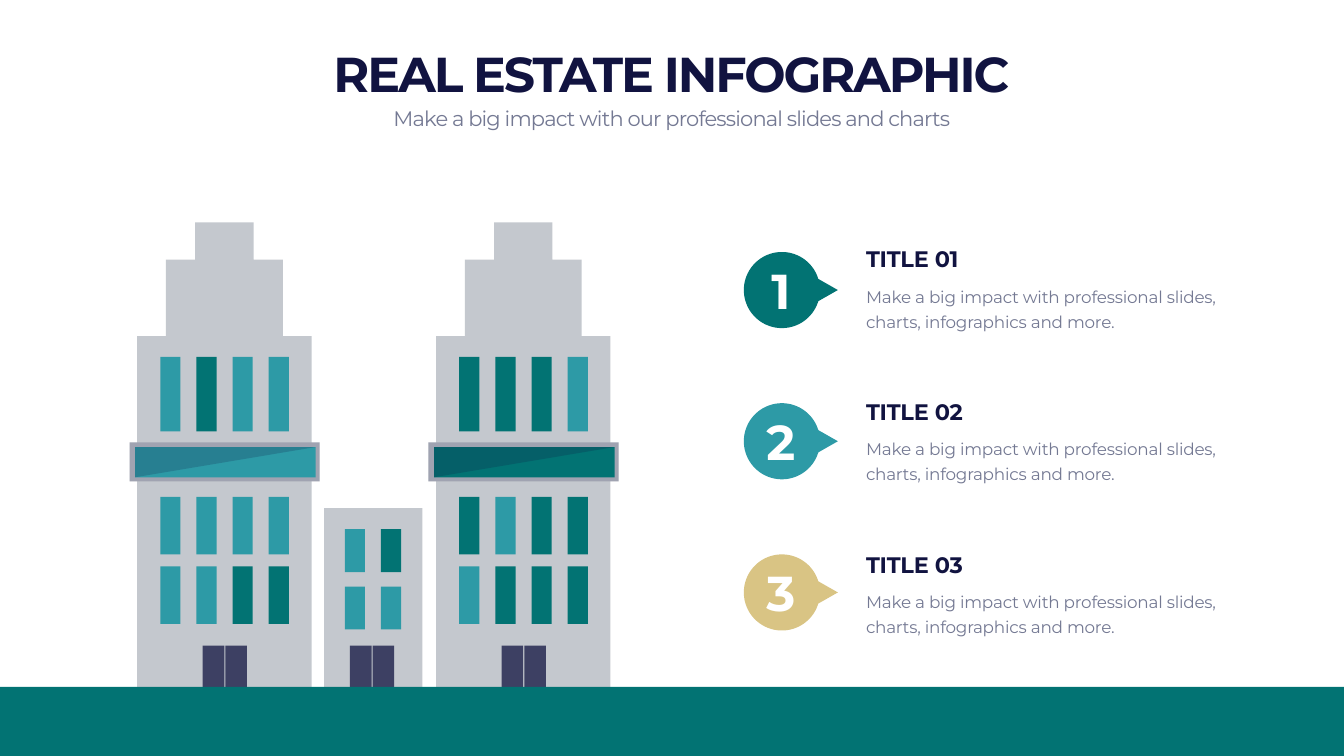
"""Build a real estate infographic slide with two towers, an annex and three numbered points."""
from dataclasses import dataclass
from math import cos, radians, sin

from lxml.etree import SubElement
from pptx import Presentation
from pptx.dml.color import RGBColor
from pptx.enum.shapes import MSO_SHAPE
from pptx.enum.text import MSO_ANCHOR, MSO_AUTO_SIZE, PP_ALIGN
from pptx.oxml.ns import qn
from pptx.slide import Slide
from pptx.util import Inches, Pt

NAVY = RGBColor(0x11, 0x13, 0x40)
SLATE = RGBColor(0x74, 0x79, 0x93)
STONE = RGBColor(0xC4, 0xC8, 0xCE)
GREEN = RGBColor(0x02, 0x73, 0x73)
TEAL = RGBColor(0x2D, 0x9A, 0xA6)
SAND = RGBColor(0xD9, 0xC4, 0x84)
WHITE = RGBColor(0xFF, 0xFF, 0xFF)
WINDOW_COLORS = {"T": TEAL, "G": GREEN}
GROUND = 13.63


@dataclass
class Painter:
    page: Slide
    font: str = "Montserrat"

    def paint(self, shape, color, alpha=100):
        shape.shadow.inherit = False
        shape.line.fill.background()
        shape.fill.solid()
        shape.fill.fore_color.rgb = color
        if alpha < 100:
            for node in list(shape._element.spPr.iter(qn("a:srgbClr"))):
                SubElement(node, qn("a:alpha")).set("val", str(alpha * 1000))

    def block(self, left, top, width, height, color, alpha=100):
        area = map(Inches, (left, top, width, height))
        self.paint(self.page.shapes.add_shape(MSO_SHAPE.RECTANGLE, *area), color, alpha)

    def outline(self, points, color, alpha=100):
        corners = [(Inches(x), Inches(y)) for x, y in points]
        builder = self.page.shapes.build_freeform(*corners[0])
        builder.add_line_segments(corners[1:], close=True)
        self.paint(builder.convert_to_shape(), color, alpha)

    def text(self, words, area, size, color, box=None, bold=False, spacing=-0.3,
             align=PP_ALIGN.LEFT, anchor=MSO_ANCHOR.TOP, line_spacing=None):
        left, top, width, height = map(Inches, area)
        if box is None:
            box = self.page.shapes.add_textbox(left, top, width, height)
        box.left, box.top, box.width, box.height = left, top, width, height
        frame = box.text_frame
        frame.word_wrap = True
        frame.auto_size = MSO_AUTO_SIZE.NONE
        frame.vertical_anchor = anchor
        para = frame.paragraphs[0]
        para.alignment = align
        para.space_before = Pt(0)
        para.line_spacing = line_spacing or 1.0
        span = para.add_run()
        span.text = words
        span.font.name = self.font
        span.font.size = Pt(size)
        span.font.bold = bold
        span.font.color.rgb = color
        span._r.get_or_add_rPr().set("spc", str(round(spacing * 100)))

    def windows(self, left, top, height, pattern):
        for column, key in enumerate(pattern):
            self.block(left + column * 0.717, top, 0.4, height, WINDOW_COLORS[key])

    def door(self, left):
        for leaf in range(2):
            self.block(left + leaf * 0.45, 12.81, 0.43, 0.82, NAVY, alpha=75)

    def tower(self, left, glass, rows):
        steps = [(0, GROUND), (0, 6.67), (0.57, 6.67), (0.57, 5.15), (1.15, 5.15), (1.15, 4.41)]
        mirrored = [(3.46 - x, y) for x, y in reversed(steps)]
        self.outline([(left + x, y) for x, y in steps + mirrored], STONE)
        self.block(left - 0.15, 8.78, 3.77, 0.77, STONE)
        self.block(left - 0.15, 8.78, 3.77, 0.77, NAVY, alpha=20)
        for (top, height), pattern in zip([(7.08, 1.48), (9.86, 1.14), (11.24, 1.14)], rows):
            self.windows(left + 0.46, top, height, pattern)
        self.door(left + 1.3)
        start, end = left - 0.04, left + 3.54
        self.block(start, 8.87, 3.58, 0.6, glass)
        self.outline([(start, 9.47), (start, 8.87), (end, 8.87)], NAVY, alpha=20)

    def pointer(self, top, color):
        radius = 0.755
        arc = [(15.51 + radius * cos(radians(a)), top + radius + radius * sin(radians(a)))
               for a in range(17, 344, 2)]
        self.outline([(16.62, top + radius)] + arc, color)


def main():
    deck = Presentation()
    deck.slide_width, deck.slide_height = Inches(26.66), Inches(15)
    page = deck.slides.add_slide(deck.slide_layouts[0])
    painter = Painter(page)
    heading, subheading = page.placeholders
    painter.text("REAL ESTATE INFOGRAPHIC", (1.66, 0.8, 23.33, 1.28), 70, NAVY, box=heading,
                 bold=True, spacing=-2.9, align=PP_ALIGN.CENTER, anchor=MSO_ANCHOR.BOTTOM)
    painter.text("Make a big impact with our professional slides and charts",
                 (1.66, 2.04, 23.33, 0.61), 30, SLATE, box=subheading,
                 spacing=-1.2, align=PP_ALIGN.CENTER)

    painter.tower(2.72, TEAL, ["TGTT", "TTTT", "TTGG"])
    painter.tower(8.65, GREEN, ["GGGT", "GTGG", "TGGG"])
    painter.block(6.43, 10.08, 1.95, 3.55, STONE)
    painter.door(6.94)
    for top, pattern in [(10.5, "TG"), (11.64, "TT")]:
        painter.windows(6.84, top, 0.85, pattern)

    for index, color in enumerate([GREEN, TEAL, SAND]):
        number = index + 1
        text_top = 4.81 + index * 3.03
        painter.pointer(5 + index * 3, color)
        painter.text(f"TITLE 0{number}", (17.08, text_top, 7.92, 0.64), 32, NAVY,
                     bold=True, anchor=MSO_ANCHOR.BOTTOM)
        painter.text("Make a big impact with professional slides, charts, infographics and more.",
                     (17.08, text_top + 0.72, 7.92, 1.07), 24, SLATE, line_spacing=Pt(36))
        painter.text(str(number), (14.85, 5.11 + index * 3, 1.28, 1.28), 70, WHITE, bold=True,
                     spacing=-2.9, align=PP_ALIGN.CENTER, anchor=MSO_ANCHOR.MIDDLE)
    painter.block(0, GROUND, 26.66, 1.37, GREEN)
    deck.save("out.pptx")


main()
